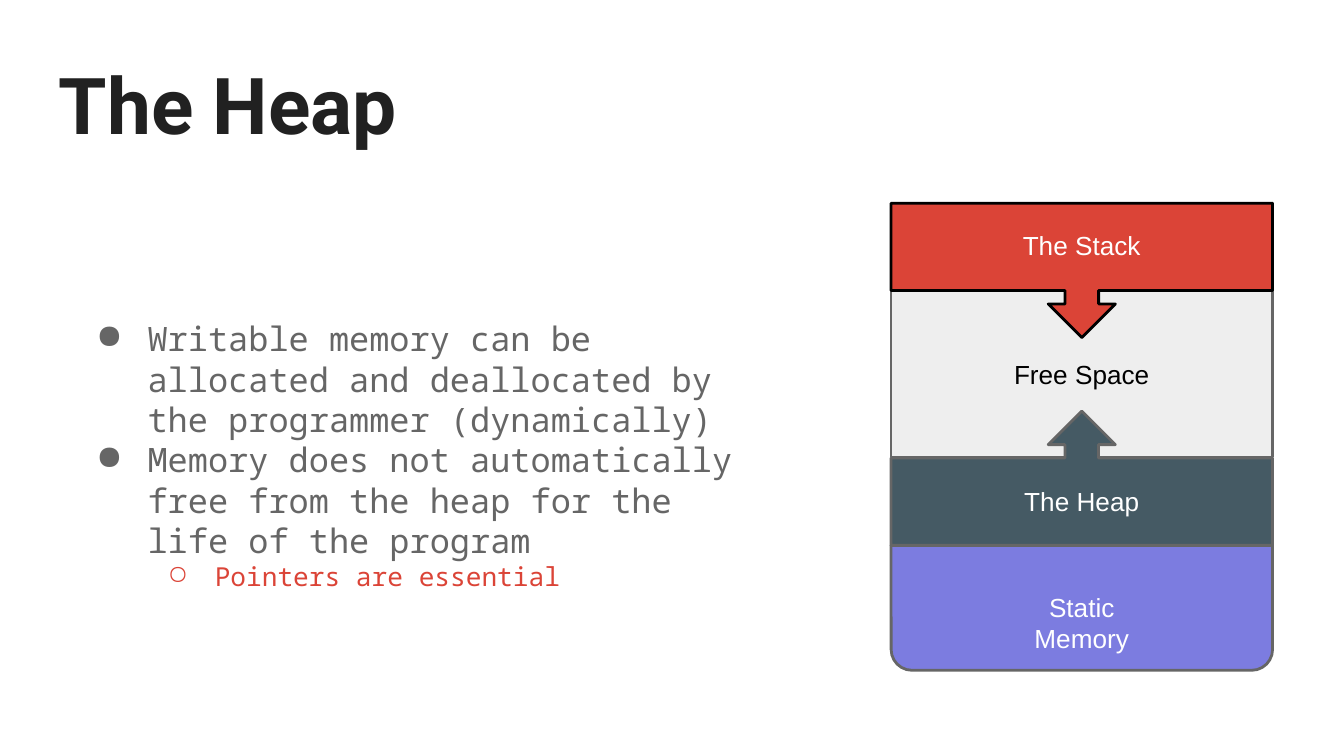
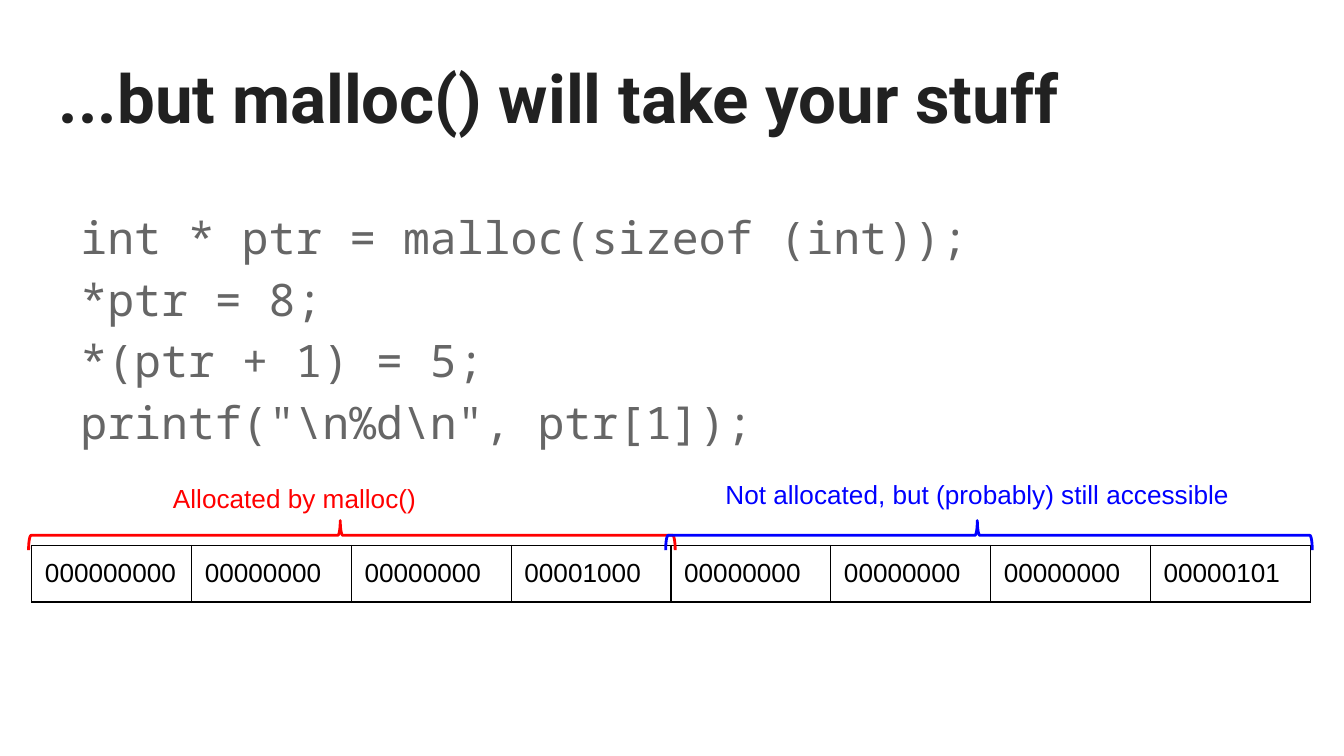
import pptx
import pptx.util
import pptx.dml.color
import pptx.enum.shapes
import pptx.enum.text
import pptx.oxml
import pptx.oxml.ns
import lxml.etree

Cm, Pt = pptx.util.Cm, pptx.util.Pt
SHAPE = pptx.enum.shapes.MSO_SHAPE
ALIGN = pptx.enum.text.PP_ALIGN
ANCHOR = pptx.enum.text.MSO_ANCHOR

COLORS = {
    "title": "212121", "body": "666666", "stack": "DB4437", "heap": "455A64",
    "static": "7C7CE0", "free": "EEEEEE", "white": "FFFFFF", "black": "000000",
    "allocated": "FF0000", "unallocated": "0000FF",
}
TITLE_FONT, CODE_FONT, LABEL_FONT = "Roboto", "Noto Sans Mono", "Arial"
INSET = Cm(0.25)
# Bullet character, left margin and hanging indent in cm for each level
BULLETS = [("●", 1.27, -0.97), ("○", 2.54, -0.89)]


def rgb(name):
    return pptx.dml.color.RGBColor.from_string(COLORS[name])


def format_runs(p, font, size, color, bold=False):
    for r in p.runs:
        r.font.name, r.font.size, r.font.bold = font, Pt(size), bold
        r.font.color.rgb = rgb(color)


def prepare_frame(tf, anchor=ANCHOR.TOP):
    tf.word_wrap = True
    tf.auto_size = pptx.enum.text.MSO_AUTO_SIZE.NONE
    tf.vertical_anchor = anchor
    tf.margin_left = tf.margin_right = tf.margin_top = tf.margin_bottom = INSET


def add_slide(prs, title, size):
    s = prs.slides.add_slide(prs.slide_layouts[5])
    sp = s.shapes.title
    sp.left, sp.top, sp.width, sp.height = Cm(0.86), Cm(0.81), Cm(23.67), Cm(2.24)
    prepare_frame(sp.text_frame)
    sp.text_frame.text = title
    p = sp.text_frame.paragraphs[0]
    p.alignment = ALIGN.LEFT
    format_runs(p, TITLE_FONT, size, "title", bold=True)
    return s


def add_text(shapes, box, lines, font, size, color, align=ALIGN.LEFT,
             anchor=ANCHOR.TOP, spacing=None):
    tf = shapes.add_textbox(*map(Cm, box)).text_frame
    prepare_frame(tf, anchor)
    tf.text = lines
    for p in tf.paragraphs:
        p.alignment = align
        if spacing:
            p.line_spacing = spacing
        format_runs(p, font, size, color)
    return tf


def set_bullet(p, level, color):
    char, margin, indent = BULLETS[level]
    p.level = level
    pPr = p._p.get_or_add_pPr()
    pPr.set("marL", str(Cm(margin)))
    pPr.set("indent", str(Cm(indent)))
    qn = pptx.oxml.ns.qn
    clr = lxml.etree.SubElement(pPr, qn("a:buClr"))
    lxml.etree.SubElement(clr, qn("a:srgbClr")).set("val", COLORS[color])
    lxml.etree.SubElement(pPr, qn("a:buChar")).set("char", char)


def add_shape(shapes, kind, box, fill, line, adjustments=(), rotation=0):
    sp = shapes.add_shape(kind, *map(Cm, box))
    sp.shadow.inherit = False
    sp.rotation = rotation
    for i, value in enumerate(adjustments):
        sp.adjustments[i] = value
    if fill:
        sp.fill.solid()
        sp.fill.fore_color.rgb = rgb(fill)
    else:
        sp.fill.background()
    sp.line.color.rgb = rgb(line)
    sp.line.width = Pt(1.5)


def set_borders(cell, color, width):
    tcPr = cell._tc.get_or_add_tcPr()
    for i, side in enumerate(("lnL", "lnR", "lnT", "lnB")):
        tcPr.insert(i, pptx.oxml.parse_xml(
            f'<a:{side} {pptx.oxml.ns.nsdecls("a")} w="{Pt(width)}"><a:solidFill>'
            f'<a:srgbClr val="{COLORS[color]}"/></a:solidFill></a:{side}>'))


def add_byte_table(s, left, top, col_width, height, values):
    table = s.shapes.add_table(1, len(values), Cm(left), Cm(top),
                               Cm(col_width * len(values)), Cm(height)).table
    table.first_row = table.horz_banding = False
    table.rows[0].height = Cm(height)
    for i, value in enumerate(values):
        table.columns[i].width = Cm(col_width)
        cell = table.cell(0, i)
        cell.fill.background()
        cell.margin_left = cell.margin_right = INSET
        cell.margin_top = cell.margin_bottom = INSET
        cell.text = value
        format_runs(cell.text_frame.paragraphs[0], LABEL_FONT, 14, "black")
        set_borders(cell, "black", 0.75)


def add_memory_map(s):
    shapes = s.shapes.add_group_shape().shapes
    left, width = 16.84, 7.21
    callout = (0.25, 0.25, 0.25, 0.65)
    # Memory regions
    for kind, top, height, fill, line, adjustments, rotation in (
            (SHAPE.RECTANGLE, 5.46, 3.18, "free", "body", (), 0),
            (SHAPE.ROUND_2_SAME_RECTANGLE, 10.31, 2.36, "static", "body", (0.167, 0), 180),
            (SHAPE.UP_ARROW_CALLOUT, 7.77, 2.54, "heap", "body", callout, 0),
            (SHAPE.UP_ARROW_CALLOUT, 3.84, 2.54, "stack", "black", callout, 180)):
        add_shape(shapes, kind, (left, top, width, height), fill, line,
                  adjustments, rotation)
    # Region labels, centred on the map
    for label, top, label_width, color in (
            ("The Stack", 4.09, 2.92, "white"), ("The Heap", 8.92, 2.92, "white"),
            ("Static Memory", 10.92, 2.92, "white"), ("Free Space", 6.53, 3.76, "black")):
        box = (left + (width - label_width) / 2, top, label_width, 1.12)
        add_text(shapes, box, label, LABEL_FONT, 14, color, ALIGN.CENTER)


def add_brace(s, center_x, center_y, span, depth, color):
    box = (center_x - depth / 2, center_y - span / 2, depth, span)
    add_shape(s.shapes, SHAPE.LEFT_BRACE, box, None, color, (0.083, 0.518), 90)


def build_heap_slide(prs):
    s = add_slide(prs, "The Heap", 42)
    points = [
        ("Writable memory can be allocated and deallocated by the programmer (dynamically)",
         0, 18, "body"),
        ("Memory does not automatically free from the heap for the life of the program",
         0, 18, "body"),
        ("Pointers are essential", 1, 14, "stack"),
    ]
    tf = add_text(s.shapes, (1.27, 3.56, 13.46, 10.08), "\n".join(pt[0] for pt in points),
                  CODE_FONT, 18, "body", anchor=ANCHOR.MIDDLE)
    for p, (_, level, size, color) in zip(tf.paragraphs, points):
        set_bullet(p, level, color)
        format_runs(p, CODE_FONT, size, color)
    add_memory_map(s)


def build_malloc_slide(prs):
    s = add_slide(prs, "...but malloc() will take your stuff", 36)
    # Code
    code = ["int * ptr = malloc(sizeof (int));", "*ptr = 8;", "*(ptr + 1) = 5;",
            r'printf("\n%d\n", ptr[1]);']
    add_text(s.shapes, (1.27, 3.56, 22.86, 5.72), "\n".join(code),
             CODE_FONT, 24, "body", spacing=1.15)
    # Bytes in memory
    zero = "00000000"
    add_byte_table(s, 0.6, 10.31, 3.02, 1.07,
                   ["000000000", zero, zero, "00001000", zero, zero, zero, "00000101"])
    # Braces with their labels
    for center_x, color, label, box in (
            (6.65, "allocated", "Allocated by malloc()", (3.02, 8.86, 6.81, 1)),
            (18.69, "unallocated", "Not allocated, but (probably) still accessible",
             (13.46, 8.79, 10.16, 1.52))):
        add_brace(s, center_x, 10.12, 12.22, 0.56, color)
        add_text(s.shapes, box, label, LABEL_FONT, 14, color)


def main():
    prs = pptx.Presentation()
    prs.slide_width, prs.slide_height = Cm(25.4), Cm(14.29)
    build_heap_slide(prs)
    build_malloc_slide(prs)
    prs.save("out.pptx")


if __name__ == "__main__":
    main()
